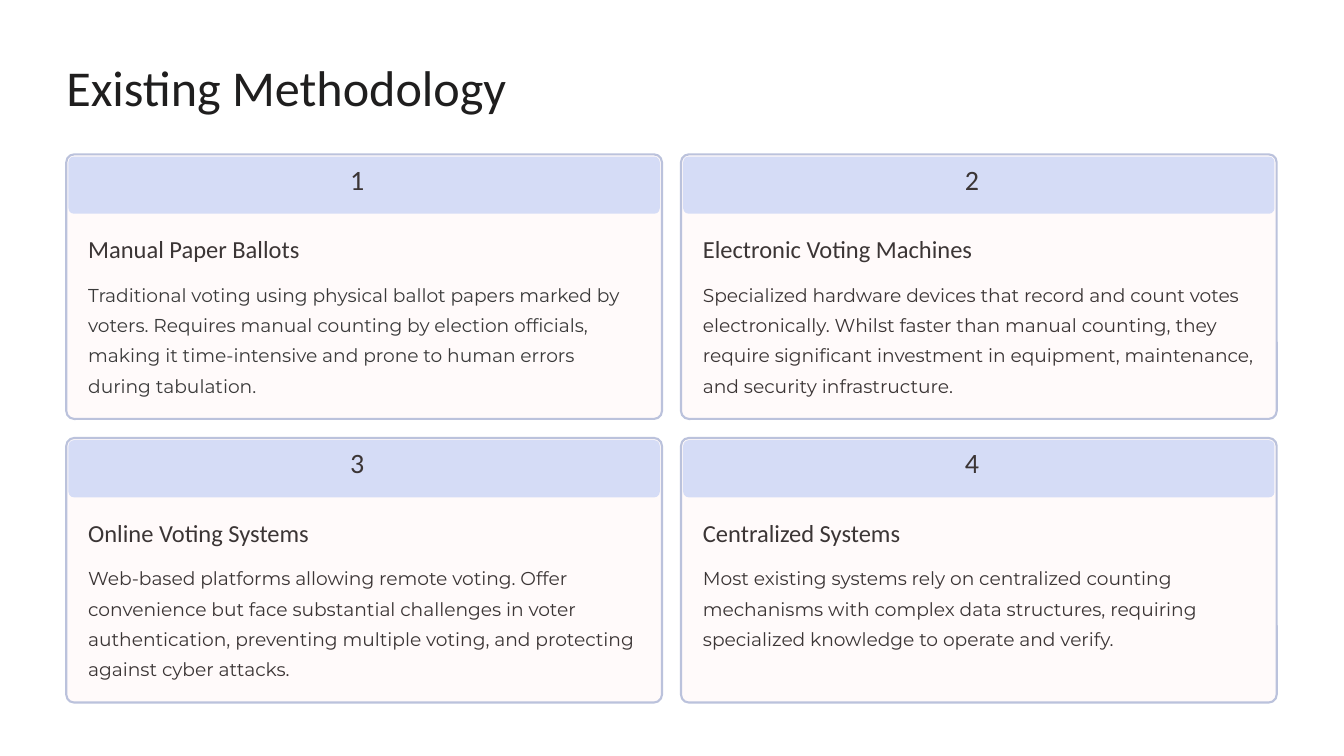
from pptx import Presentation
from pptx.dml.color import RGBColor
from pptx.enum.shapes import MSO_SHAPE
from pptx.util import Pt

ROUNDED = MSO_SHAPE.ROUNDED_RECTANGLE
TITLE_INK = RGBColor(0x1F, 0x1E, 0x1E)
INK = RGBColor(0x3B, 0x35, 0x35)
GREY = RGBColor(0x3A, 0x3A, 0x3A)
CARD_FILL = RGBColor(0xFF, 0xFA, 0xFA)
CARD_LINE = RGBColor(0xBB, 0xC2, 0xDC)
BAND_FILL = RGBColor(0xD5, 0xDC, 0xF6)

TITLE = "Existing Methodology"
CARDS = [
    ("Manual Paper Ballots", 232, 104.4, GREY,
     "Traditional voting using physical ballot papers marked by voters. "
     "Requires manual counting by election officials, making it "
     "time-intensive and prone to human errors during tabulation."),
    ("Electronic Voting Machines", 298, 104.4, INK,
     "Specialized hardware devices that record and count votes "
     "electronically. Whilst faster than manual counting, they require "
     "significant investment in equipment, maintenance, and security "
     "infrastructure."),
    ("Online Voting Systems", 247, 104.4, INK,
     "Web-based platforms allowing remote voting. Offer convenience but "
     "face substantial challenges in voter authentication, preventing "
     "multiple voting, and protecting against cyber attacks."),
    ("Centralized Systems", 222.5, 78.5, INK,
     "Most existing systems rely on centralized counting mechanisms with "
     "complex data structures, requiring specialized knowledge to operate "
     "and verify."),
]

LEFT, TOP = 56.8, 132.3
CARD_W, CARD_H = 510.6, 226.8
GAP = 16.3
COLUMNS = 2
INSET = 1.9
PAD = 18.8


def add_panel(s, x, y, w, h, radius, fill, line=None):
    sp = s.shapes.add_shape(ROUNDED, Pt(x), Pt(y), Pt(w), Pt(h))
    sp.adjustments[0] = radius
    sp.shadow.inherit = False
    sp.fill.solid()
    sp.fill.fore_color.rgb = fill
    if line is None:
        sp.line.fill.background()
    else:
        sp.line.color.rgb = line
        sp.line.width = Pt(1.8)


def add_text(s, x, y, w, h, text, size, spacing, color=INK,
             font="Calibri", wrap=False):
    tf = s.shapes.add_textbox(Pt(x), Pt(y), Pt(w), Pt(h)).text_frame
    tf.margin_left = tf.margin_top = tf.margin_right = tf.margin_bottom = 0
    tf.word_wrap = wrap
    p = tf.paragraphs[0]
    p.text = text
    p.line_spacing = Pt(spacing)
    p.font.name = font
    p.font.size = Pt(size)
    p.font.color.rgb = color


def main():
    prs = Presentation()
    prs.slide_width, prs.slide_height = Pt(1152), Pt(648)
    s = prs.slides.add_slide(prs.slide_layouts[6])

    add_text(s, LEFT, 46, 478, 54, TITLE, 43, 53.5, TITLE_INK)

    for i, (heading, heading_w, body_h, color, body) in enumerate(CARDS):
        row, col = divmod(i, COLUMNS)
        x = LEFT + col * (CARD_W + GAP)
        y = TOP + row * (CARD_H + GAP)
        add_panel(s, x, y, CARD_W, CARD_H, 0.03, CARD_FILL, CARD_LINE)
        add_panel(s, x + INSET, y + INSET, CARD_W - 2 * INSET, 49, 0.096,
                  BAND_FILL)
        add_text(s, x + 243.4, y + 10.9, 24.5, 31, str(i + 1), 24, 24.5)
        add_text(s, x + PAD, y + 67.3, heading_w, 26.6, heading, 21, 26.5)
        add_text(s, x + PAD, y + 104, 474.5, body_h, body, 16, 26, color,
                 "Montserrat", True)

    prs.save("out.pptx")


if __name__ == "__main__":
    main()
